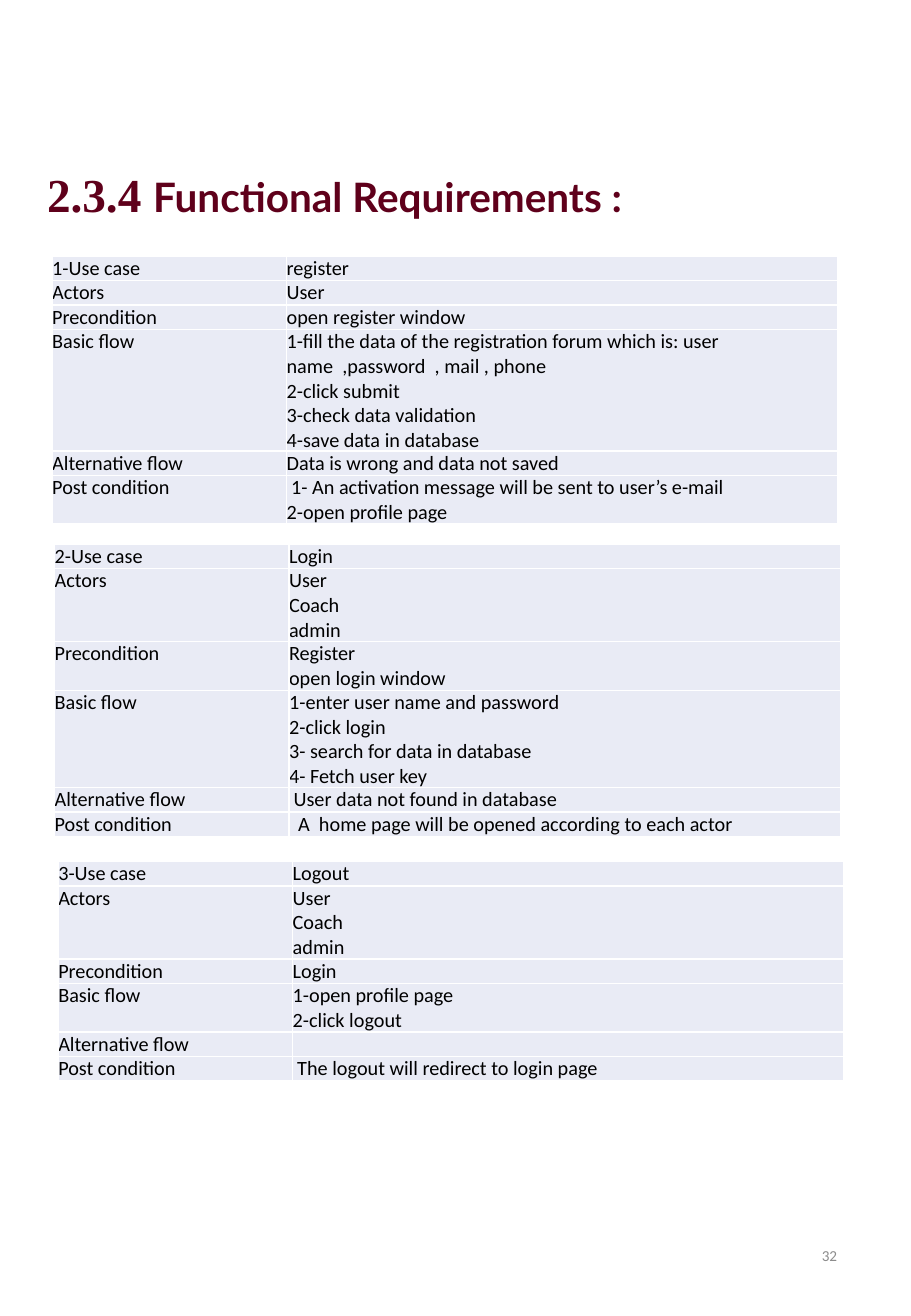
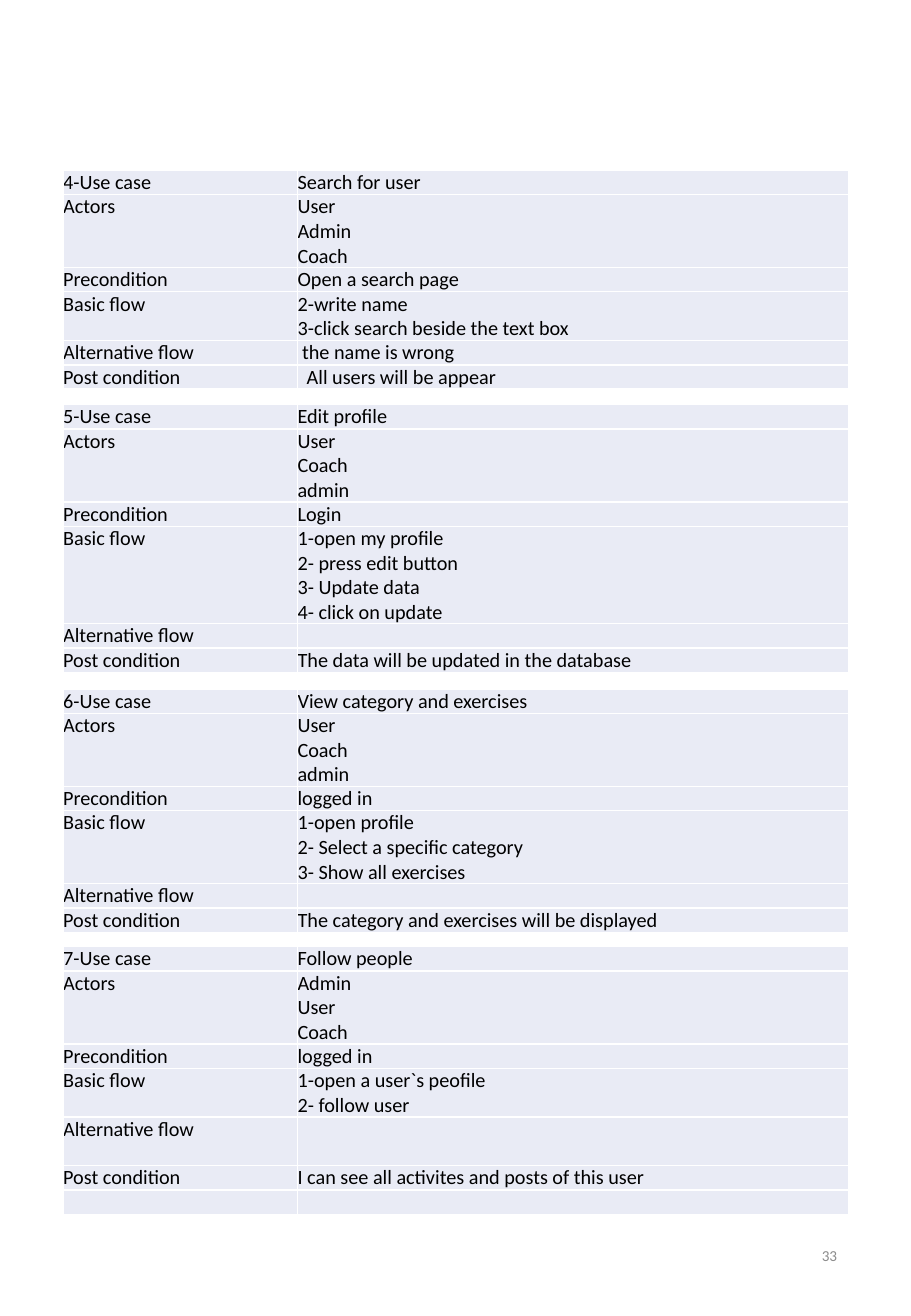
from itertools import zip_longest

from lxml.etree import SubElement
from pptx import Presentation
from pptx.dml.color import RGBColor
from pptx.enum.text import MSO_ANCHOR, PP_ALIGN
from pptx.oxml.ns import qn
from pptx.util import Emu, Inches, Pt

MAROON, BLACK, GREY, WHITE, CELL = "5F001B", "000000", "8C8C8C", "FFFFFF", "E9EBF5"
BODY_FONT, BODY_SIZE = "Calibri", 12
LINE_HEIGHT = 0.2
COLUMNS = (1.93, 4.54)
TITLE_ONLY, BLANK = 5, 6
NBSP = chr(160)

LABELS = ("Use case", "Actors", "Precondition", "Basic flow", "Alternative flow", "Post condition")
TITLE = [(" 2.3.4 ", "Times New Roman", 28), ("Functional Requirements :", "Lato", 24)]

# Each use case: left, top, one list of lines per row, extra lines of height by row label
PAGES = [
    {"number": 32, "title": TITLE, "cases": [
        (0.43, 2.11, [
            ["register"],
            ["User"],
            ["open register window"],
            [f"1-fill the data of the registration forum which is: user name{NBSP}{NBSP},password  , mail , phone",
             "2-click submit", "3-check data validation", "4-save data in database"],
            ["Data is wrong and data not saved"],
            [" 1- An activation message will be sent to user’s e-mail", "2-open profile page"],
        ], {"Basic flow": 1}),
        (0.45, 4.48, [
            ["Login"],
            ["User", "Coach", "admin"],
            ["Register", "open login window"],
            ["1-enter user name and password", "2-click login",
             "3- search for data in database", "4- Fetch user key"],
            [" User data not found in database"],
            ["  A  home page will be opened according to each actor"],
        ], {}),
        (0.48, 7.09, [
            ["Logout"],
            ["User", "Coach", "admin"],
            ["Login"],
            ["1-open profile page", "2-click logout"],
            [],
            [" The logout will redirect to login page"],
        ], {}),
    ]},
    {"number": 33, "title": None, "cases": [
        (0.52, 1.4, [
            ["Search for user"],
            ["User", "Admin", "Coach"],
            ["Open a search page"],
            ["2-write name", "3-click search beside the text box"],
            [" the name is wrong"],
            ["  All users will be appear"],
        ], {}),
        (0.52, 3.33, [
            ["Edit profile"],
            ["User", "Coach", "admin"],
            ["Login"],
            ["1-open my profile", "2- press edit button", "3- Update data", "4- click on update"],
            [],
            ["The data will be updated in the database"],
        ], {}),
        (0.52, 5.67, [
            ["View category and exercises"],
            ["User", "Coach", "admin"],
            ["logged in"],
            ["1-open profile", "2- Select a specific category", "3- Show all exercises"],
            [],
            ["The category and exercises will be displayed"],
        ], {}),
        (0.52, 7.79, [
            ["Follow people"],
            ["Admin", "User", "Coach"],
            ["logged in"],
            ["1-open a user`s peofile", "2- follow user"],
            [],
            ["I can see all activites and posts of this user"],
            [],
        ], {"Alternative flow": 1}),
    ]},
]


def rgb(color):
    return RGBColor.from_string(color)


def add_span(para, text, font=BODY_FONT, size=BODY_SIZE, color=BLACK, bold=False):
    span = para.add_run()
    span.text = text
    span.font.name, span.font.size, span.font.bold = font, Pt(size), bold
    span.font.color.rgb = rgb(color)


def remove_margins(area):
    area.margin_left = area.margin_right = area.margin_top = area.margin_bottom = 0


def add_borders(cell):
    """Draw a white one-point line on all four sides, ahead of the cell's fill."""
    properties = cell._tc.get_or_add_tcPr()
    for side in ("lnL", "lnR", "lnT", "lnB"):
        line = SubElement(properties, qn(f"a:{side}"), w=str(Pt(1)))
        SubElement(SubElement(line, qn("a:solidFill")), qn("a:srgbClr"), val=WHITE)


def fill_cell(cell, lines):
    remove_margins(cell)
    add_borders(cell)
    cell.fill.solid()
    cell.fill.fore_color.rgb = rgb(CELL)
    frame = cell.text_frame
    for index, line in enumerate(lines):
        add_span(frame.add_paragraph() if index else frame.paragraphs[0], line)
    if not lines:
        # An empty cell still needs the body size, or its row grows
        SubElement(frame.paragraphs[0]._p, qn("a:endParaRPr"), sz=str(BODY_SIZE * 100))


def add_use_case(page, number, left, top, values, extra_lines):
    rows = list(zip_longest(LABELS, values, fillvalue=""))
    heights = [LINE_HEIGHT * (max(1, len(lines)) + extra_lines.get(label, 0)) for label, lines in rows]
    table = page.shapes.add_table(len(rows), len(COLUMNS), Inches(left), Inches(top),
                                  Inches(sum(COLUMNS)), Inches(sum(heights))).table
    table.first_row = table.horz_banding = False
    for column, width in zip(table.columns, COLUMNS):
        column.width = Inches(width)
    for index, (label, lines) in enumerate(rows):
        table.rows[index].height = Inches(heights[index])
        heading = label if index else f"{number}-{label}"
        fill_cell(table.cell(index, 0), [heading] if heading else [])
        fill_cell(table.cell(index, 1), lines)


def add_title(page, spans):
    title = page.shapes.title
    title.left, title.top, title.width, title.height = map(Inches, (0.29, 1.36, 6.97, 1.5))
    frame = title.text_frame
    remove_margins(frame)
    frame.vertical_anchor = MSO_ANCHOR.TOP
    para = frame.paragraphs[0]
    para.alignment = PP_ALIGN.LEFT
    for text, font, size in spans:
        add_span(para, text, font=font, size=size, color=MAROON, bold=True)


def add_page_number(page, number):
    box = page.shapes.add_textbox(*map(Inches, (5.3, 10.04, 1.69, 0.58)))
    frame = box.text_frame
    frame.word_wrap = True
    frame.vertical_anchor = MSO_ANCHOR.MIDDLE
    para = frame.paragraphs[0]
    para.alignment = PP_ALIGN.RIGHT
    add_span(para, str(number), size=9, color=GREY)


def main():
    deck = Presentation()
    deck.slide_width, deck.slide_height = Emu(Inches(7.5)), Emu(Inches(10.83))
    case_number = 0
    for content in PAGES:
        page = deck.slides.add_slide(deck.slide_layouts[TITLE_ONLY if content["title"] else BLANK])
        add_page_number(page, content["number"])
        if content["title"]:
            add_title(page, content["title"])
        for case in content["cases"]:
            case_number += 1
            add_use_case(page, case_number, *case)
    deck.save("out.pptx")


if __name__ == "__main__":
    main()
